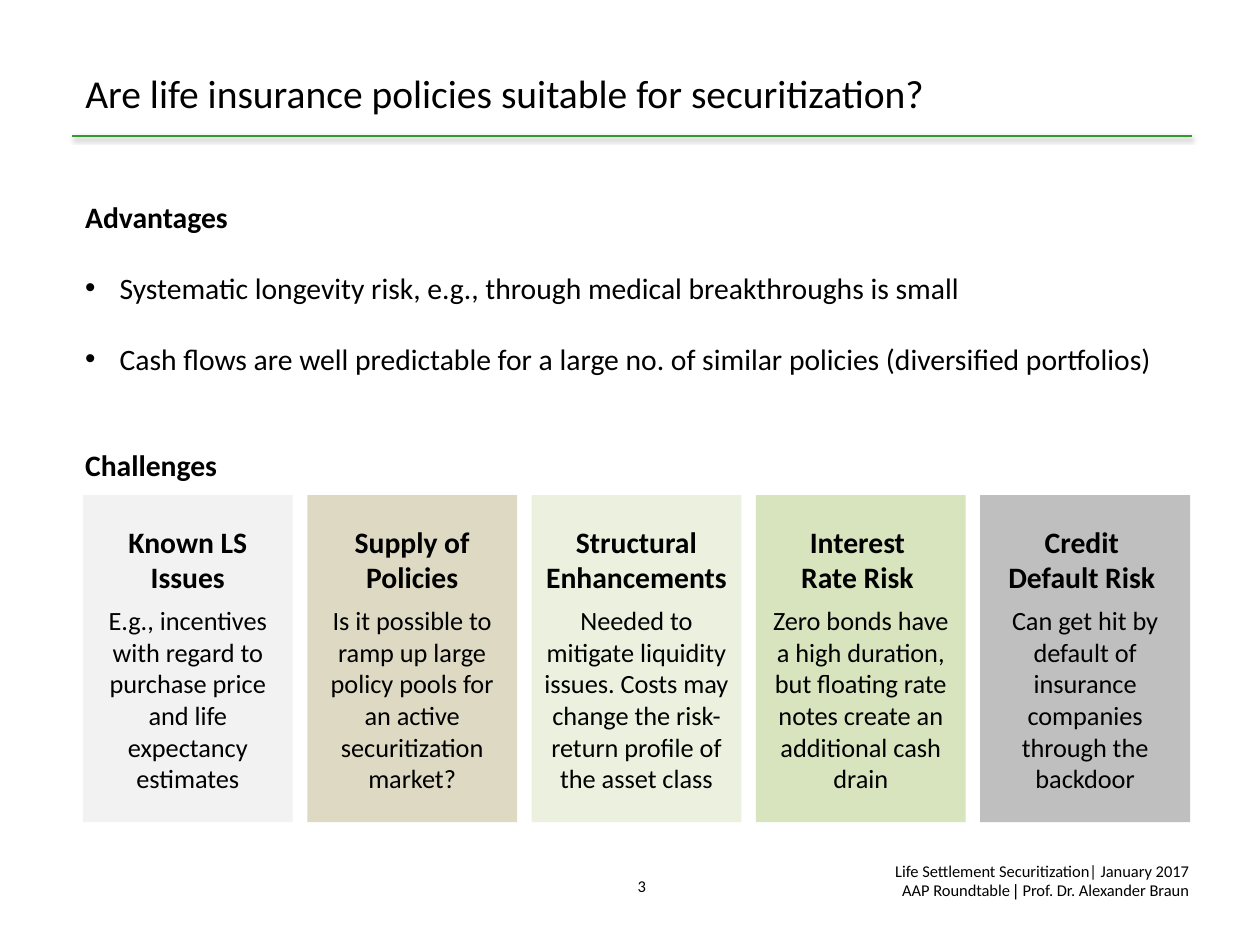
from lxml import etree
from pptx import Presentation
from pptx.dml.color import RGBColor
from pptx.enum.shapes import MSO_CONNECTOR, MSO_SHAPE
from pptx.enum.text import MSO_ANCHOR as ANCHOR, PP_ALIGN as ALIGN
from pptx.oxml import parse_xml
from pptx.oxml.ns import nsdecls, qn
from pptx.util import Inches, Pt

COLORS = {
    "text": "000000", "rule": "339933", "issues": "F2F2F2", "supply": "DDD9C3",
    "structure": "EBF1DE", "interest": "D7E4BD", "credit": "BFBFBF",
}


def add_text(p, text, size, bold=False, font="Calibri"):
    r = p.add_run()
    r.text = text
    r.font.size = Pt(size)
    r.font.bold = bold
    r.font.name = font
    r.font.color.rgb = RGBColor.from_string(COLORS["text"])


def add_box(left, top, width, height, inset_x, inset_y, anchor):
    box = s.shapes.add_textbox(Inches(left), Inches(top), Inches(width), Inches(height))
    tf = box.text_frame
    tf.word_wrap = True
    tf.vertical_anchor = anchor
    tf.margin_left = tf.margin_right = Inches(inset_x)
    tf.margin_top = tf.margin_bottom = Inches(inset_y)
    return tf


prs = Presentation()
prs.slide_width = Inches(10.63)
prs.slide_height = Inches(7.875)
s = prs.slides.add_slide(prs.slide_layouts[6])

rule = s.shapes.add_connector(
    MSO_CONNECTOR.STRAIGHT, Inches(0.61), Inches(1.15), Inches(10.06), Inches(1.15))
rule.line.color.rgb = RGBColor.from_string(COLORS["rule"])
rule.line.width = Pt(1)
rule._element.spPr.append(parse_xml(
    f'<a:effectLst {nsdecls("a")}>'
    f'<a:outerShdw blurRad="{Pt(3.1)}" dist="{Pt(1.6)}" dir="5400000" rotWithShape="0">'
    f'<a:srgbClr val="{COLORS["text"]}"><a:alpha val="38000"/></a:srgbClr>'
    '</a:outerShdw></a:effectLst>'))

tf = add_box(0.61, 0.39, 9.45, 0.79, 0.11, 0.05, ANCHOR.MIDDLE)
add_text(tf.paragraphs[0], "Are life insurance policies suitable for securitization?", 24)

tf = add_box(0.62, 1.58, 9.45, 2.55, 0.1, 0.1, ANCHOR.TOP)
body = [
    ("Advantages", True, 0),
    ("Systematic longevity risk, e.g., through medical breakthroughs is small", False, 21.4),
    ("Cash flows are well predictable for a large no. of similar policies "
     "(diversified portfolios)", False, 21.4),
    ("Challenges", True, 43.2),
]
for i, (text, heading, gap) in enumerate(body):
    p = tf.add_paragraph() if i else tf.paragraphs[0]
    p.space_before = Pt(gap)
    add_text(p, text, 18, heading)
    if not heading:
        pPr = p._p.get_or_add_pPr()
        pPr.set("marL", str(Inches(0.29)))
        pPr.set("indent", str(Inches(-0.29)))
        etree.SubElement(pPr, qn("a:buFont")).set("typeface", "Arial")
        etree.SubElement(pPr, qn("a:buChar")).set("char", "•")

challenges = [
    ("issues", ["Known LS Issues"],
     "E.g., incentives with regard to purchase price and life expectancy estimates"),
    ("supply", ["Supply of Policies"],
     "Is it possible to ramp up large policy pools for an active securitization market?"),
    ("structure", ["Structural Enhancements"],
     "Needed to mitigate liquidity issues. Costs may change the risk-return profile "
     "of the asset class"),
    ("interest", ["Interest ", "Rate Risk "],
     "Zero bonds have a high duration, but floating rate notes create an additional cash drain"),
    ("credit", ["Credit ", "Default Risk "],
     "Can get hit by default of insurance companies through the backdoor"),
]
for i, (color, heading, detail) in enumerate(challenges):
    sp = s.shapes.add_shape(
        MSO_SHAPE.RECTANGLE, Inches(0.7 + 1.8925 * i), Inches(4.18), Inches(1.77), Inches(2.76))
    sp.shadow.inherit = False
    sp.fill.solid()
    sp.fill.fore_color.rgb = RGBColor.from_string(COLORS[color])
    sp.line.fill.background()
    tf = sp.text_frame
    tf.word_wrap = True
    tf.vertical_anchor = ANCHOR.MIDDLE
    for j, text in enumerate(heading):
        p = tf.add_paragraph() if j else tf.paragraphs[0]
        p.alignment = ALIGN.CENTER
        add_text(p, text, 18, True)
    p = tf.add_paragraph()
    p.alignment = ALIGN.CENTER
    p.space_before = Pt(6)
    add_text(p, detail, 16)

tf = add_box(6.92, 7.17, 3.15, 0.47, 0.04, 0.04, ANCHOR.MIDDLE)
p = tf.paragraphs[0]
p.alignment = ALIGN.RIGHT
p.line_spacing = Pt(16)
add_text(p, "Life Settlement Securitization| January 2017", 10)
p = tf.add_paragraph()
p.alignment = ALIGN.RIGHT
add_text(p, "AAP Roundtable ", 10)
add_text(p, "| ", 10, font="Arial")
add_text(p, "Prof. Dr. Alexander Braun", 10)

tf = add_box(4.97, 7.35, 0.89, 0.25, 0.04, 0.04, ANCHOR.BOTTOM)
p = tf.paragraphs[0]
p.alignment = ALIGN.CENTER
add_text(p, "3", 10)

prs.save("out.pptx")
